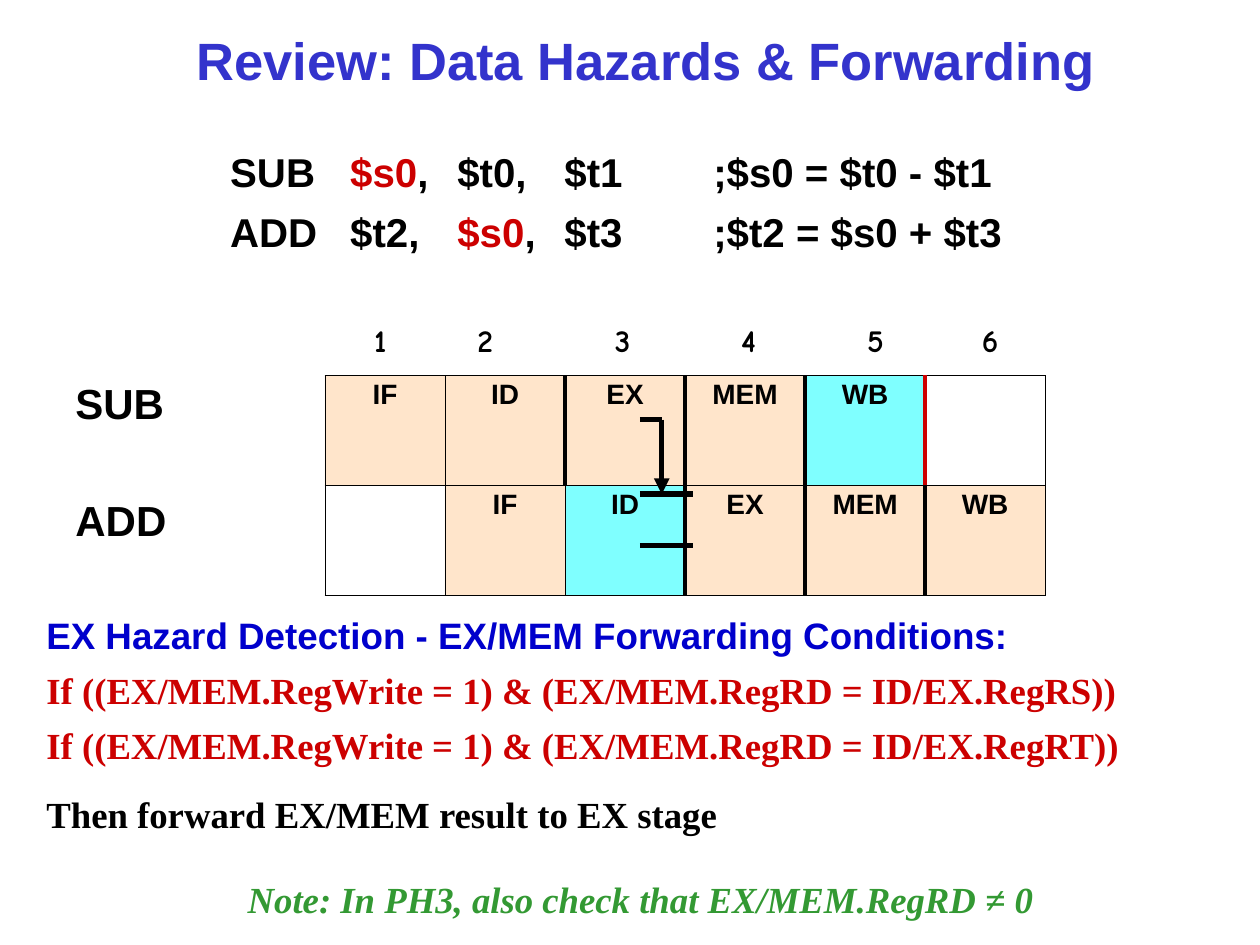
from lxml.etree import SubElement
from pptx import Presentation
from pptx.dml.color import RGBColor
from pptx.enum.shapes import MSO_CONNECTOR, MSO_SHAPE
from pptx.enum.text import MSO_ANCHOR, PP_ALIGN
from pptx.oxml.ns import qn
from pptx.util import Cm, Pt

# Content
BLACK, RED, BLUE, GREEN = "000000", "CC0000", "0000CC", "339933"
PEACH, CYAN = "FFCC99", "00FFFF"
SANS, SERIF, COMIC = "Arial", "Times New Roman", "Comic Neue"

TITLE = "Review: Data Hazards & Forwarding"
CODE = [
    [("SUB\t", BLACK), ("$s0", RED), (",\t$t0,\t$t1\t;$s0 = $t0 - $t1", BLACK)],
    [("ADD\t$t2,\t", BLACK), ("$s0", RED), (",\t$t3\t;$t2 = $s0 + $t3", BLACK)],
]
CODE_TABS = [2.42, 4.58, 6.74, 9.74]
CYCLES = "\t1\t2\t3\t4\t5\t6"
CYCLE_TABS = [1.27, 3.38, 6.15, 8.69, 11.25, 13.56]
LABELS = ["SUB", "ADD"]
STAGES = [
    ["IF", "ID", "EX", "MEM", "WB", ""],
    ["", "IF", "ID", "EX", "MEM", "WB"],
]
SHARED = {(0, 4), (1, 2)}  # cells that write or read $s0
THIN, THICK, MARK = (BLACK, 0.45), (BLACK, 3), (RED, 3)
EDGES = [  # vertical rules, left to right
    [THIN, THIN, THICK, THICK, THICK, MARK, THIN],
    [THIN, THIN, THIN, THICK, THICK, THICK, THIN],
]
RULES = [  # text, font, colour, space before
    ("EX Hazard Detection - EX/MEM Forwarding Conditions:", SANS, BLUE, 0),
    ("If ((EX/MEM.RegWrite = 1) & (EX/MEM.RegRD = ID/EX.RegRS))", SERIF, RED, 8.9),
    ("If ((EX/MEM.RegWrite = 1) & (EX/MEM.RegRD = ID/EX.RegRT))", SERIF, RED, 8.7),
    ("Then forward EX/MEM result to EX stage", SERIF, BLACK, 16.6),
    ("Note: In PH3, also check that EX/MEM.RegRD ≠ 0", SERIF, GREEN, 26.3),
]
LINES = [  # x1, y1, x2, y2, arrowhead
    (12.9, 9.96, 13.97, 9.96, False),
    (12.9, 11.0, 13.97, 11.0, False),
    (13.34, 8.46, 13.34, 9.96, True),
    (12.9, 8.46, 13.34, 8.46, False),
]


# Helpers
def rgb(code):
    return RGBColor.from_string(code)


def style(par, size, color=BLACK, font=SANS):
    for run in par.runs:
        run.font.size, run.font.bold, run.font.name = Pt(size), True, font
        run.font.color.rgb = rgb(color)


def add_box(left, top, width, height):
    box = slide.shapes.add_textbox(Cm(left), Cm(top), Cm(width), Cm(height))
    box.text_frame.word_wrap = True
    return box.text_frame


def get_par(frame, num):
    return frame.add_paragraph() if num else frame.paragraphs[0]


def set_tabs(par, stops, align):
    tabs = SubElement(par._p.get_or_add_pPr(), qn("a:tabLst"))
    for stop in stops:
        SubElement(tabs, qn("a:tab"), pos=str(Cm(stop)), algn=align)


def add_edge(cell, side, color, width):
    line = SubElement(cell._tc.get_or_add_tcPr(), qn("a:ln" + side), w=str(Pt(width)))
    fill = SubElement(line, qn("a:solidFill"))
    SubElement(fill, qn("a:srgbClr"), val=color)


deck = Presentation()
deck.slide_width, deck.slide_height = Cm(25.4), Cm(19.05)
slide = deck.slides.add_slide(deck.slide_layouts[5])

# Title
title = slide.shapes.title
title.left, title.top, title.width, title.height = Cm(0.64), Cm(0.43), Cm(24.76), Cm(1.7)
frame = title.text_frame
frame.text = TITLE
frame.vertical_anchor = MSO_ANCHOR.MIDDLE
par = frame.paragraphs[0]
par.alignment, par.line_spacing = PP_ALIGN.CENTER, 0.9
style(par, 30, "3333CC")

# Code
frame = add_box(4.39, 2.95, 19, 2.4)
for num, parts in enumerate(CODE):
    par = get_par(frame, num)
    par.line_spacing = 0.9
    par.space_before = Pt(9.8 * num)
    set_tabs(par, CODE_TABS, "l")
    for text, color in parts:
        run = par.add_run()
        run.text = text
    style(par, 23)
    for run, (text, color) in zip(par.runs, parts):
        run.font.color.rgb = rgb(color)

# Row labels
frame = add_box(1.27, 7.49, 2.54, 3.6)
for num, text in enumerate(LABELS):
    par = get_par(frame, num)
    par.text = text
    par.space_before = Pt(38 * num)
    style(par, 24)

# Pipeline table
grid = slide.shapes.add_table(2, 6, Cm(6.55), Cm(7.57), Cm(14.52), Cm(4.44)).table
grid.first_row = grid.horz_banding = False
for col in grid.columns:
    col.width = Cm(2.42)
for r, names in enumerate(STAGES):
    grid.rows[r].height = Cm(2.22)
    for c, name in enumerate(names):
        cell = grid.cell(r, c)
        cell.margin_left = cell.margin_right = Cm(0.13)
        cell.margin_top = cell.margin_bottom = Cm(0.13)
        sides = [("L", EDGES[r][c]), ("R", EDGES[r][c + 1]), ("T", THIN), ("B", THIN)]
        for side, edge in sides:
            add_edge(cell, side, *edge)
        if not name:
            cell.fill.background()
            continue
        cell.fill.solid()
        cell.fill.fore_color.rgb = rgb(CYAN if (r, c) in SHARED else PEACH)
        tone = cell._tc.tcPr.find(qn("a:solidFill"))[0]
        SubElement(tone, qn("a:alpha"), val="50000")
        cell.text_frame.text = name
        par = cell.text_frame.paragraphs[0]
        par.alignment, par.line_spacing = PP_ALIGN.CENTER, 0.9
        style(par, 16)

# Forwarding conditions
panel = slide.shapes.add_shape(
    MSO_SHAPE.ROUNDED_RECTANGLE, Cm(0.43), Cm(12.07), Cm(24.97), Cm(6.98))
panel.adjustments[0] = 0.125
panel.shadow.inherit = False
panel.fill.background()
panel.line.fill.background()
frame = panel.text_frame
frame.word_wrap, frame.vertical_anchor = True, MSO_ANCHOR.TOP
for num, (text, font, color, gap) in enumerate(RULES):
    par = get_par(frame, num)
    par.text = text
    par.alignment, par.line_spacing = PP_ALIGN.LEFT, 0.9
    par.space_before = Pt(gap)
    style(par, 21, color, font)
par.alignment = PP_ALIGN.CENTER
par.runs[0].font.italic = True

# Forwarding path
for x1, y1, x2, y2, head in LINES:
    line = slide.shapes.add_connector(MSO_CONNECTOR.STRAIGHT, Cm(x1), Cm(y1), Cm(x2), Cm(y2))
    line.line.color.rgb, line.line.width = rgb(BLACK), Pt(3)
    if head:
        SubElement(line.line._get_or_add_ln(), qn("a:tailEnd"), type="triangle")
    SubElement(line._element.spPr, qn("a:effectLst"))

# Clock cycles
frame = add_box(6.15, 6.35, 14.73, 1.02)
par = frame.paragraphs[0]
par.text = CYCLES
set_tabs(par, CYCLE_TABS, "ctr")
style(par, 18, BLACK, COMIC)

deck.save("out.pptx")
